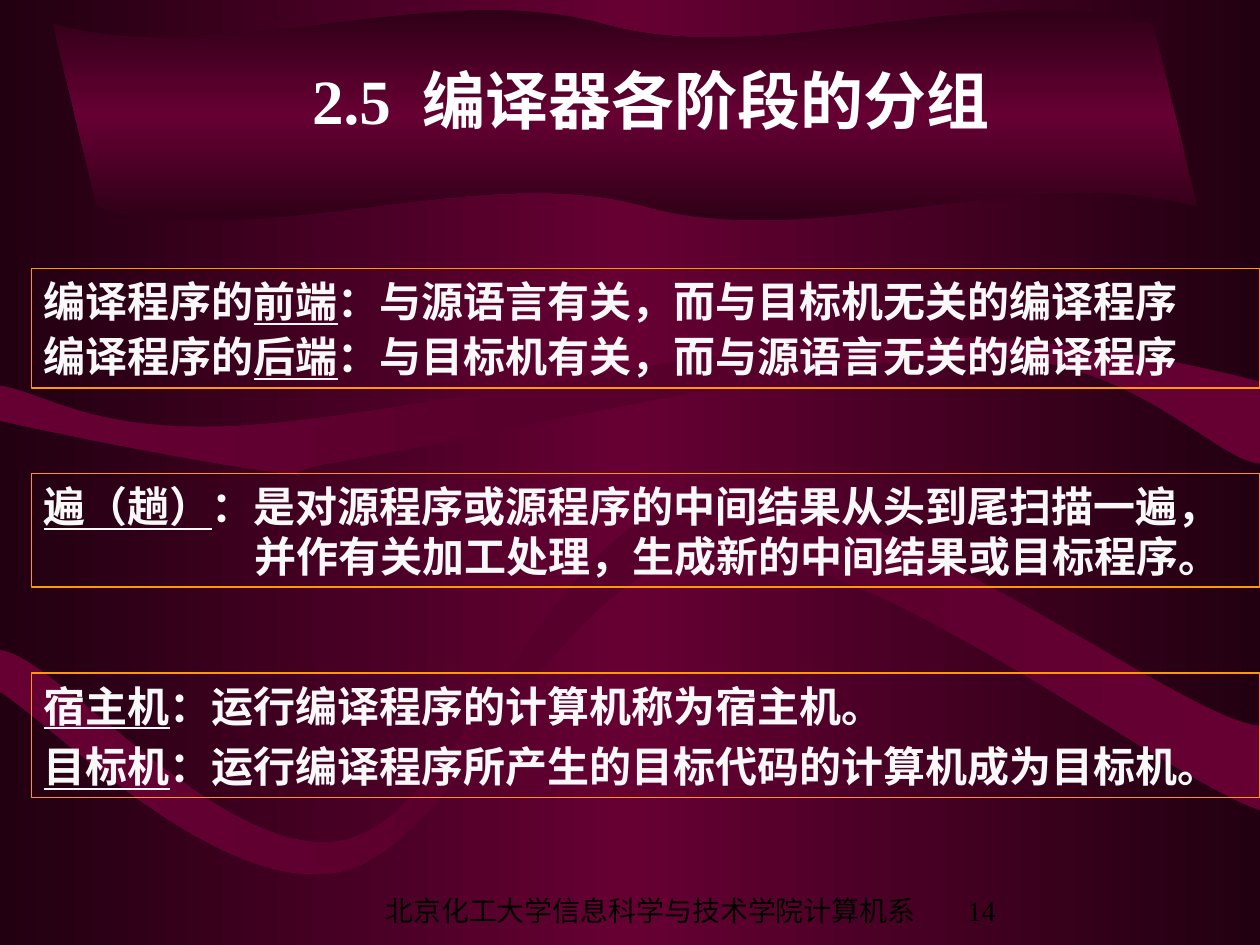
from copy import deepcopy
from dataclasses import dataclass

from lxml import etree
from pptx import Presentation
from pptx.dml.color import RGBColor
from pptx.enum.shapes import MSO_SHAPE
from pptx.enum.text import MSO_ANCHOR, PP_ALIGN
from pptx.oxml.ns import qn
from pptx.util import Inches, Pt

RECT = MSO_SHAPE.RECTANGLE
TOP, MID, LOW = MSO_ANCHOR.TOP, MSO_ANCHOR.MIDDLE, MSO_ANCHOR.BOTTOM
LEFT, CENTER = PP_ALIGN.LEFT, PP_ALIGN.CENTER
HAN, LATIN = "Noto Sans CJK SC", "Times New Roman"
WINE, DUSK, PLUM, DARK = "660033", "56002B", "2F0017", "220011"


@dataclass
class Term:
    """A line of a box: plain lead, underlined word, plain rest."""
    lead: str
    word: str
    rest: str


@dataclass
class Panel:
    top: float
    height: float
    terms: list[Term]
    before: float = 0
    hang: float = 0


@dataclass
class Wave:
    """Outline whose steps hold one point (line) or three (curve)."""
    place: tuple
    start: tuple
    steps: list[tuple]
    edge: str
    core: str
    angle: int


PANELS = [
    Panel(2.13, 0.95, [
        Term("编译程序的", "前端", "：与源语言有关，而与目标机无关的编译程序"),
        Term("编译程序的", "后端", "：与目标机有关，而与源语言无关的编译程序"),
    ], before=3),
    Panel(3.76, 0.9, [
        Term("", "遍（趟）", "：是对源程序或源程序的中间结果从头到尾扫描一遍，"
             "并作有关加工处理，生成新的中间结果或目标程序。"),
    ], hang=1.67),
    Panel(5.34, 0.99, [
        Term("", "宿主机", "：运行编译程序的计算机称为宿主机。"),
        Term("", "目标机", "：运行编译程序所产生的目标代码的计算机成为目标机。"),
    ], before=6),
]

WAVES = [
    Wave((0, 2.63, 10, 1.17), (0, 3.06), [
        (0, 3.34),
        (0.37, 3.43, 1.75, 3.7, 2.22, 3.75),
        (2.69, 3.8, 1.9, 3.79, 2.82, 3.64),
        (3.75, 3.48, 6.6, 2.82, 7.8, 2.83),
        (9, 2.83, 9.63, 3.65, 10, 3.68),
        (10, 3.03),
        (9.5, 2.9, 8.36, 2.63, 7.01, 2.69),
        (5.66, 2.74, 3.07, 3.32, 1.9, 3.38),
        (0.73, 3.44, 0.4, 3.13, 0, 3.06),
    ], WINE, DUSK, 0),
    Wave((0, 3.77, 10, 3.34), (0, 5.16), [
        (0, 5.49),
        (0.45, 5.78, 1.74, 7.11, 2.69, 6.92),
        (3.63, 6.74, 4.43, 4.46, 5.65, 4.38),
        (6.87, 4.29, 9.27, 6.2, 10, 6.43),
        (10, 5.76),
        (9.38, 5.72, 6.91, 3.77, 5.62, 3.91),
        (4.41, 4.06, 3.67, 6.46, 2.73, 6.67),
        (1.79, 6.87, 0.45, 5.2, 0, 5.16),
    ], WINE, DUSK, 0),
    Wave((0.42, 0.08, 9.08, 1.67), (9.15, 0.19), [
        (7.81, -0.19, 6.12, 0.57, 4.78, 0.19),
        (3.44, -0.19, 1.76, 0.57, 0.42, 0.19),
        (0.77, 1.64),
        (2.11, 2.02, 3.8, 1.26, 5.13, 1.64),
        (6.47, 2.02, 8.16, 1.26, 9.5, 1.64),
    ], PLUM, WINE, 90),
]


def tint(text: str) -> RGBColor:
    return RGBColor.from_string(text)


def blend(fill, root, edge: str, core: str, angle: int) -> None:
    """Fill with a gradient running edge, core, edge."""
    fill.gradient()
    fill.gradient_angle = angle
    stops = next(root.iter(qn("a:gsLst")))
    stops.insert(1, deepcopy(stops[0]))
    for stop, spot, shade in zip(fill.gradient_stops, (0, 0.5, 1),
                                 (edge, core, edge)):
        stop.position = spot
        stop.color.rgb = tint(shade)


def bend(shape, wave: Wave) -> None:
    """Set the frame of a wave and turn its long steps into curves."""
    left, top, width, height = map(Inches, wave.place)
    shape.left, shape.top, shape.width, shape.height = left, top, width, height
    route = next(shape.element.iter(qn("a:path")))
    route.set("w", str(width))
    route.set("h", str(height))
    for node, step in zip(list(route), [wave.start, *wave.steps]):
        if len(step) > 2:
            node.tag = qn("a:cubicBezTo")
        for point in list(node):
            node.remove(point)
        for x, y in zip(step[::2], step[1::2]):
            point = etree.SubElement(node, qn("a:pt"))
            point.set("x", str(Inches(x) - left))
            point.set("y", str(Inches(y) - top))


def sweep(slide, wave: Wave) -> None:
    """Draw one filled wave."""
    pen = slide.shapes.build_freeform(*map(Inches, wave.start))
    ends = [tuple(map(Inches, step[-2:])) for step in wave.steps]
    pen.add_line_segments(ends, close=True)
    shape = pen.convert_to_shape()
    bend(shape, wave)
    shape.shadow.inherit = False
    shape.line.fill.background()
    blend(shape.fill, shape.element, wave.edge, wave.core, wave.angle)


def write(para, text: str, *, size: float, color: str, font: str = LATIN,
          bold: bool = False, under: bool = False) -> None:
    run = para.add_run()
    run.text = text
    face = run.font
    face.size, face.bold, face.underline = Pt(size), bold, under
    face.color.rgb = tint(color)
    face.name = font
    props = run._r.get_or_add_rPr()
    etree.SubElement(props, qn("a:ea")).set("typeface", HAN)


def label(slide, place: tuple, text: str, anchor, **form) -> None:
    """Add a centred line of text."""
    frame = slide.shapes.add_textbox(*map(Inches, place)).text_frame
    frame.word_wrap = True
    frame.vertical_anchor = anchor
    para = frame.paragraphs[0]
    para.alignment = CENTER
    write(para, text, **form)


def board(slide, panel: Panel) -> None:
    """Draw an outlined box with its terms."""
    shape = slide.shapes.add_shape(
        RECT, Inches(0.25), Inches(panel.top),
        Inches(9.75), Inches(panel.height))
    shape.shadow.inherit = False
    shape.fill.background()
    shape.line.color.rgb = tint("FF9900")
    shape.line.width = Pt(0.75)
    frame = shape.text_frame
    frame.word_wrap = True
    frame.vertical_anchor = TOP
    frame.margin_top = Inches(0.06)
    for i, term in enumerate(panel.terms):
        para = frame.add_paragraph() if i else frame.paragraphs[0]
        para.alignment = LEFT
        para.line_spacing = Pt(28.6)
        if i:
            para.space_before = Pt(panel.before)
        if panel.hang:
            props = para._p.get_or_add_pPr()
            props.set("marL", str(Inches(panel.hang)))
            props.set("indent", str(-Inches(panel.hang)))
        for text in (term.lead, term.word, term.rest):
            if text:
                write(para, text, size=24, color="F8F8F8", font=HAN,
                      bold=True, under=text == term.word)


def main() -> None:
    deck = Presentation()
    deck.slide_width, deck.slide_height = Inches(10), Inches(7.5)
    slide = deck.slides.add_slide(deck.slide_layouts[6])
    blend(slide.background.fill, slide.element, DARK, WINE, 0)
    for wave in WAVES:
        sweep(slide, wave)
    for panel in PANELS:
        board(slide, panel)
    label(slide, (0.33, 0.33, 9.67, 0.92), "2.5  编译器各阶段的分组", MID,
          size=36, color="FFFFFF", bold=True)
    for place, text in (
            ((2.83, 7.08, 4.67, 0.33), "北京化工大学信息科学与技术学院计算机系"),
            ((7.5, 7.08, 0.58, 0.33), "14")):
        label(slide, place, text, LOW, size=16, color="000000")
    deck.save("out.pptx")


if __name__ == "__main__":
    main()
